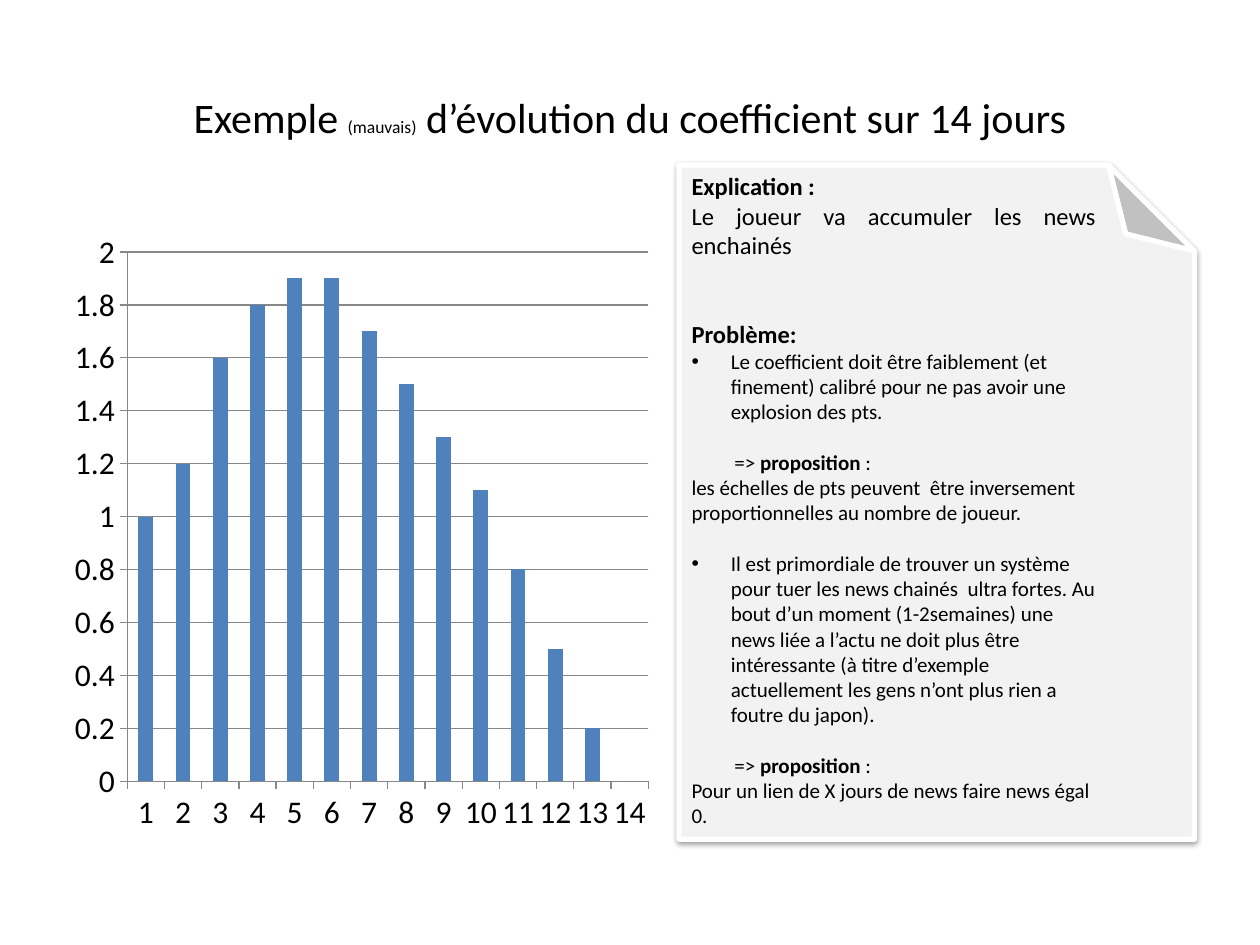
from lxml import etree
from pptx import Presentation
from pptx.chart.data import CategoryChartData
from pptx.dml.color import RGBColor
from pptx.enum.chart import XL_CHART_TYPE, XL_TICK_MARK
from pptx.enum.shapes import MSO_SHAPE
from pptx.enum.text import MSO_ANCHOR, PP_ALIGN
from pptx.oxml.ns import qn
from pptx.util import Pt

COLUMNS = XL_CHART_TYPE.COLUMN_CLUSTERED
TICK_OUT = XL_TICK_MARK.OUTSIDE
FOLDED_CORNER = MSO_SHAPE.FOLDED_CORNER
TOP, MIDDLE = MSO_ANCHOR.TOP, MSO_ANCHOR.MIDDLE
LEFT, CENTER, JUSTIFY = PP_ALIGN.LEFT, PP_ALIGN.CENTER, PP_ALIGN.JUSTIFY

FONT = "Calibri"
COLORS = {
    "text": "000000",
    "bars": "4F81BD",
    "axes": "878787",
    "note": "F2F2F2",
    "note_edge": "FFFFFF",
    "shadow": "000000",
}
COEFFICIENTS = [1, 1.2, 1.6, 1.8, 1.9, 1.9, 1.7, 1.5, 1.3, 1.1, 0.8, 0.5, 0.2, 0]
TITLE_RUNS = [
    ("Exemple ", 24, False),
    ("(mauvais)", 10, False),
    (" d’évolution du coefficient sur 14 jours", 24, False),
]
PROPOSITION = [("=> ", 12, False), ("proposition", 12, True), (" :", 12, False)]
BULLET_INDENT = 22.5
PROPOSITION_INDENT = 24.5
LINE_GAP = 14.5

# Each paragraph: its runs, then its formatting
NOTE_PARAGRAPHS = [
    ([("Explication :", 14, True)], {}),
    ([("Le joueur va accumuler les news enchainés", 14, False)], {"align": JUSTIFY}),
    ([("Problème:", 14, True)], {"before": 34}),
    ([("Le coefficient doit être faiblement (et finement) calibré pour ne pas "
       "avoir une explosion des pts.", 12, False)], {"bullet": True}),
    (PROPOSITION, {"before": LINE_GAP, "indent": PROPOSITION_INDENT}),
    ([("les échelles de pts peuvent  être inversement proportionnelles au nombre "
       "de joueur.", 12, False)], {}),
    ([("Il est primordiale de trouver un système pour tuer les news chainés  ultra "
       "fortes. Au bout d’un moment (1-2semaines) une news liée a l’actu ne doit "
       "plus être intéressante (à titre d’exemple actuellement les gens n’ont plus "
       "rien a foutre du japon).", 12, False)], {"before": LINE_GAP, "bullet": True}),
    (PROPOSITION, {"before": LINE_GAP, "indent": PROPOSITION_INDENT}),
    ([("Pour un lien de X jours de news faire news égal 0.", 12, False)], {}),
]


def rgb(name):
    return RGBColor.from_string(COLORS[name])


def style_font(font, size, bold=False):
    font.name = FONT
    font.size = Pt(size)
    font.bold = bold
    font.color.rgb = rgb("text")


def write_runs(paragraph, runs):
    for text, size, bold in runs:
        run = paragraph.add_run()
        run.text = text
        style_font(run.font, size, bold)


def format_paragraph(paragraph, align=LEFT, before=0, indent=0, bullet=False):
    paragraph.alignment = align
    paragraph.space_before = Pt(before)
    properties = paragraph._p.get_or_add_pPr()
    if bullet:
        properties.set("marL", str(Pt(BULLET_INDENT)))
        properties.set("indent", str(-Pt(BULLET_INDENT)))
        etree.SubElement(properties, qn("a:buFont")).set("typeface", "Arial")
        etree.SubElement(properties, qn("a:buChar")).set("char", "•")
    elif indent:
        properties.set("marL", str(Pt(indent)))
        properties.set("indent", "0")


def add_soft_shadow(shape):
    shape.shadow.inherit = False
    effects = shape._element.spPr.find(qn("a:effectLst"))
    shadow = etree.SubElement(
        effects, qn("a:outerShdw"), blurRad=str(Pt(3.1)), dist=str(Pt(1.6)),
        dir="5400000", rotWithShape="0")
    color = etree.SubElement(shadow, qn("a:srgbClr"), val=COLORS["shadow"])
    etree.SubElement(color, qn("a:alpha"), val="38000")


def fill_title(slide):
    title = slide.shapes.title
    title.left, title.top, title.width, title.height = Pt(36), Pt(21.6), Pt(648), Pt(90)
    title.text_frame.vertical_anchor = MIDDLE
    paragraph = title.text_frame.paragraphs[0]
    paragraph.alignment = CENTER
    write_runs(paragraph, TITLE_RUNS)


def add_note(slide):
    """Add the folded sheet, turned so that its fold is at the top right."""
    note = slide.shapes.add_shape(
        FOLDED_CORNER, Pt(342.7), Pt(139.7), Pt(385.2), Pt(294.5))
    note.rotation = 270
    note.fill.solid()
    note.fill.fore_color.rgb = rgb("note")
    note.line.color.rgb = rgb("note_edge")
    note.line.width = Pt(3)
    add_soft_shadow(note)

    frame = note.text_frame
    frame.word_wrap = True
    frame.vertical_anchor = TOP
    frame._txBody.bodyPr.set("vert", "vert")
    for index, (runs, layout) in enumerate(NOTE_PARAGRAPHS):
        paragraph = frame.add_paragraph() if index else frame.paragraphs[0]
        format_paragraph(paragraph, **layout)
        write_runs(paragraph, runs)


def style_axis_line(line):
    line.color.rgb = rgb("axes")
    line.width = Pt(0.75)


def add_coefficient_chart(slide):
    data = CategoryChartData()
    data.categories = [str(day + 1) for day in range(len(COEFFICIENTS))]
    data.add_series("Series 1", COEFFICIENTS)
    chart = slide.shapes.add_chart(
        COLUMNS, Pt(36), Pt(126), Pt(341.3), Pt(356.4), data).chart
    chart.has_title = False
    chart.has_legend = False
    style_font(chart.font, 18)

    plot = chart.plots[0]
    plot.gap_width = 150
    plot.vary_by_categories = False
    bars = plot.series[0].format.fill
    bars.solid()
    bars.fore_color.rgb = rgb("bars")

    for axis in (chart.category_axis, chart.value_axis):
        axis.major_tick_mark = TICK_OUT
        style_axis_line(axis.format.line)
    values = chart.value_axis
    values.minimum_scale, values.maximum_scale, values.major_unit = 0, 2, 0.2
    values.has_major_gridlines = True
    style_axis_line(values.major_gridlines.format.line)


def main():
    deck = Presentation()
    deck.slide_width, deck.slide_height = Pt(720), Pt(540)
    slide = deck.slides.add_slide(deck.slide_layouts[5])
    fill_title(slide)
    add_note(slide)
    add_coefficient_chart(slide)
    deck.save("out.pptx")


if __name__ == "__main__":
    main()
